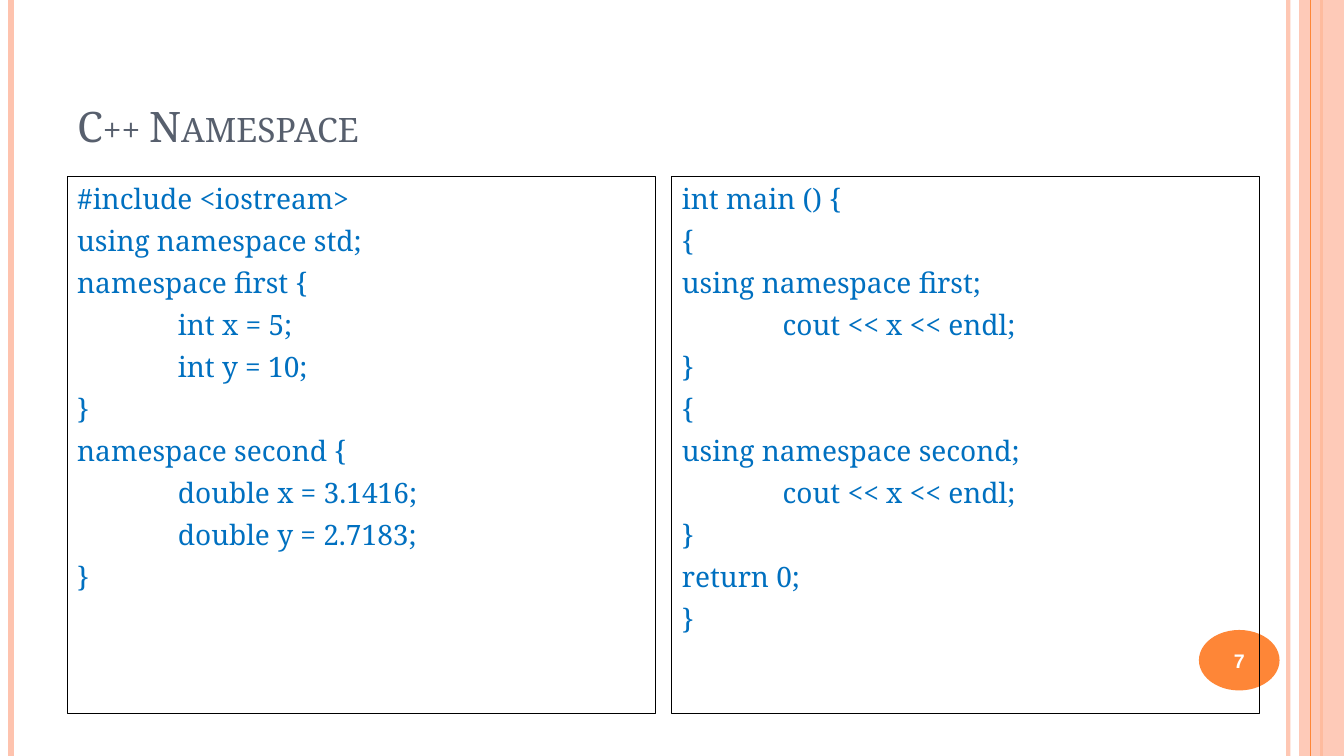
from lxml import etree
from pptx import Presentation
from pptx.dml.color import RGBColor
from pptx.enum.shapes import MSO_CONNECTOR, MSO_SHAPE
from pptx.enum.text import MSO_ANCHOR, PP_ALIGN
from pptx.oxml.ns import qn
from pptx.util import Pt

PEACH = RGBColor(0xFE, 0xC3, 0xAE)
ORANGE = RGBColor(0xFE, 0x86, 0x37)
SLATE = RGBColor(0x57, 0x5F, 0x6D)
CODE_BLUE = RGBColor(0x00, 0x70, 0xC0)
BLACK = RGBColor(0, 0, 0)
WHITE = RGBColor(255, 255, 255)
SERIF = "Noto Serif"

TITLE = "C++ Namespace"
PAGE_NUMBER = "7"
CODE_PANELS = [
    ["#include <iostream>", "using namespace std;",
     "namespace first {", "\tint x = 5;", "\tint y = 10;", "}",
     "namespace second {", "\tdouble x = 3.1416;", "\tdouble y = 2.7183;", "}"],
    ["int main () {",
     "{", "using namespace first;", "\tcout << x << endl;", "}",
     "{", "using namespace second;", "\tcout << x << endl;", "}",
     "return 0;", "}"],
]
RAILS_BEHIND = [(920.16, PEACH, 3, 93), (7.92, PEACH, 4.5, 100), (943.92, ORANGE, 1.5, 100)]
RAIL_IN_FRONT = (936, ORANGE, 0.75, 100)

WIDTH, HEIGHT = 960, 540
LEFT, PANEL_TOP = 48, 126
PANEL_WIDTH, PANEL_HEIGHT, PANEL_GAP = 420, 384, 12
BAND_LEFT = 928
CODE_TAB = 72

prs = Presentation()
prs.slide_width, prs.slide_height = Pt(WIDTH), Pt(HEIGHT)
slide = prs.slides.add_slide(prs.slide_layouts[6])


def set_opacity(parent, percent):
    color = next(parent.iter(qn("a:srgbClr")))
    etree.SubElement(color, qn("a:alpha")).set("val", str(percent * 1000))


def add_rail(x, color, weight, opacity):
    rail = slide.shapes.add_connector(MSO_CONNECTOR.STRAIGHT, Pt(x), 0, Pt(x), Pt(HEIGHT))
    rail.line.color.rgb = color
    rail.line.width = Pt(weight)
    set_opacity(rail.line._get_or_add_ln(), opacity)
    etree.SubElement(rail._element.spPr, qn("a:effectLst"))


def add_filled(kind, color, left, top, width, height):
    shape = slide.shapes.add_shape(kind, Pt(left), Pt(top), Pt(width), Pt(height))
    shape.shadow.inherit = False
    shape.fill.solid()
    shape.fill.fore_color.rgb = color
    shape.line.fill.background()
    return shape


def add_text(lines, box, size, color, font=SERIF, anchor=MSO_ANCHOR.TOP,
             align=PP_ALIGN.LEFT, bold=False, space_before=0):
    shape = slide.shapes.add_textbox(*map(Pt, box))
    frame = shape.text_frame
    frame.word_wrap = True
    frame.vertical_anchor = anchor
    frame.text = "\n".join(lines)
    for paragraph in frame.paragraphs:
        paragraph.alignment = align
        paragraph.space_before = Pt(space_before)
        for run in paragraph.runs:
            run.font.name = font
            run.font.size = Pt(size)
            run.font.bold = bold
            run.font.color.rgb = color
    return shape


def set_tab_stop(paragraph, position):
    tabs = etree.SubElement(paragraph._p.get_or_add_pPr(), qn("a:tabLst"))
    tab = etree.SubElement(tabs, qn("a:tab"))
    tab.set("pos", str(Pt(position)))
    tab.set("algn", "l")


for rail_spec in RAILS_BEHIND:
    add_rail(*rail_spec)
band = add_filled(MSO_SHAPE.RECTANGLE, PEACH, BAND_LEFT, 0, WIDTH - BAND_LEFT, HEIGHT)
set_opacity(band._element.spPr, 87)
add_rail(*RAIL_IN_FRONT)
add_filled(MSO_SHAPE.OVAL, ORANGE, 856.4, 450, 57.6, 43.2)

title = add_text([TITLE], (LEFT, 21.6, 808, 90), 30, SLATE, anchor=MSO_ANCHOR.BOTTOM)
title.text_frame.paragraphs[0].runs[0].font._element.set("cap", "small")

add_text([PAGE_NUMBER], (853.2, 451.44, 64, 41), 14, WHITE, font="Arial",
         anchor=MSO_ANCHOR.MIDDLE, align=PP_ALIGN.CENTER, bold=True)

for column, code in enumerate(CODE_PANELS):
    panel_left = LEFT + column * (PANEL_WIDTH + PANEL_GAP)
    panel = add_text(code, (panel_left, PANEL_TOP, PANEL_WIDTH, PANEL_HEIGHT),
                     20, CODE_BLUE, space_before=6)
    panel.line.color.rgb = BLACK
    panel.line.width = Pt(0.75)
    for paragraph in panel.text_frame.paragraphs:
        set_tab_stop(paragraph, CODE_TAB)

prs.save("out.pptx")
